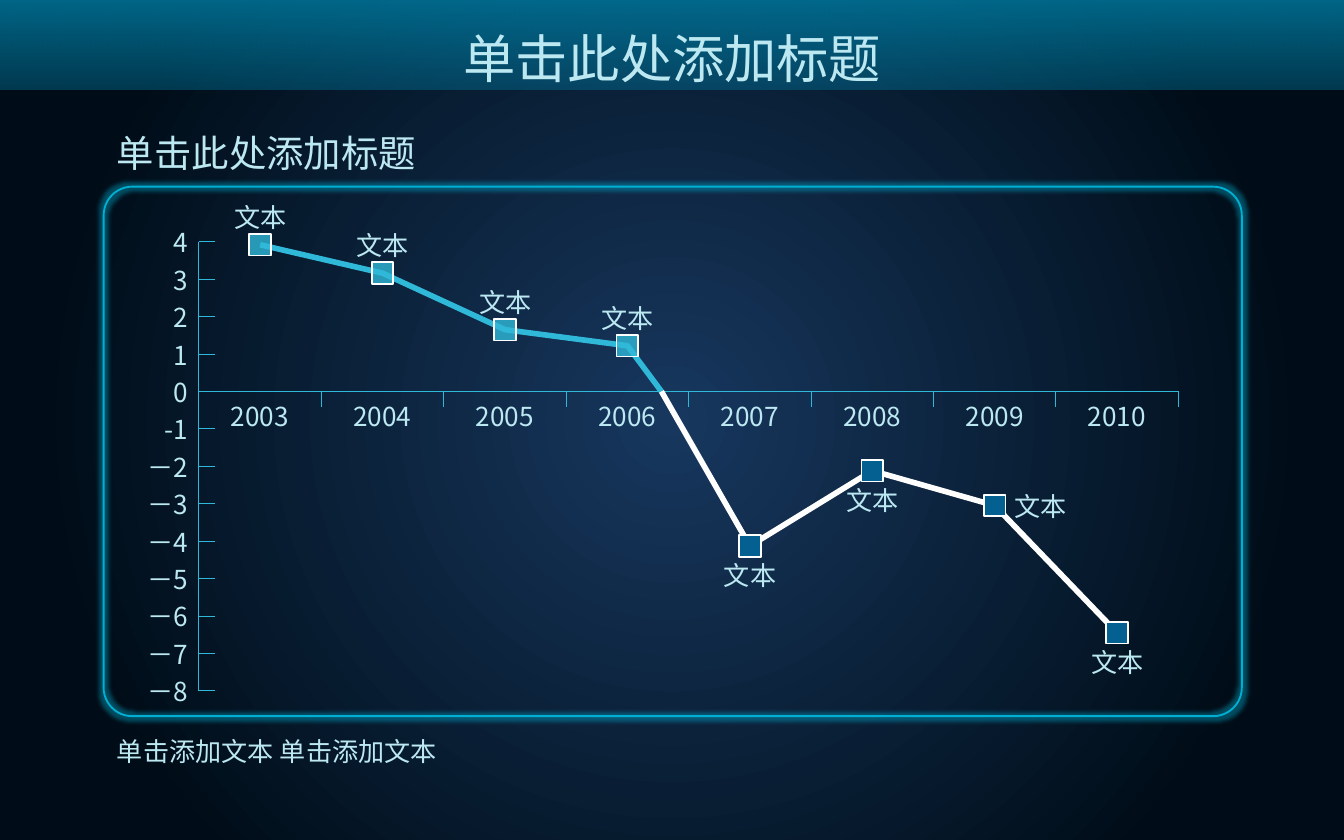
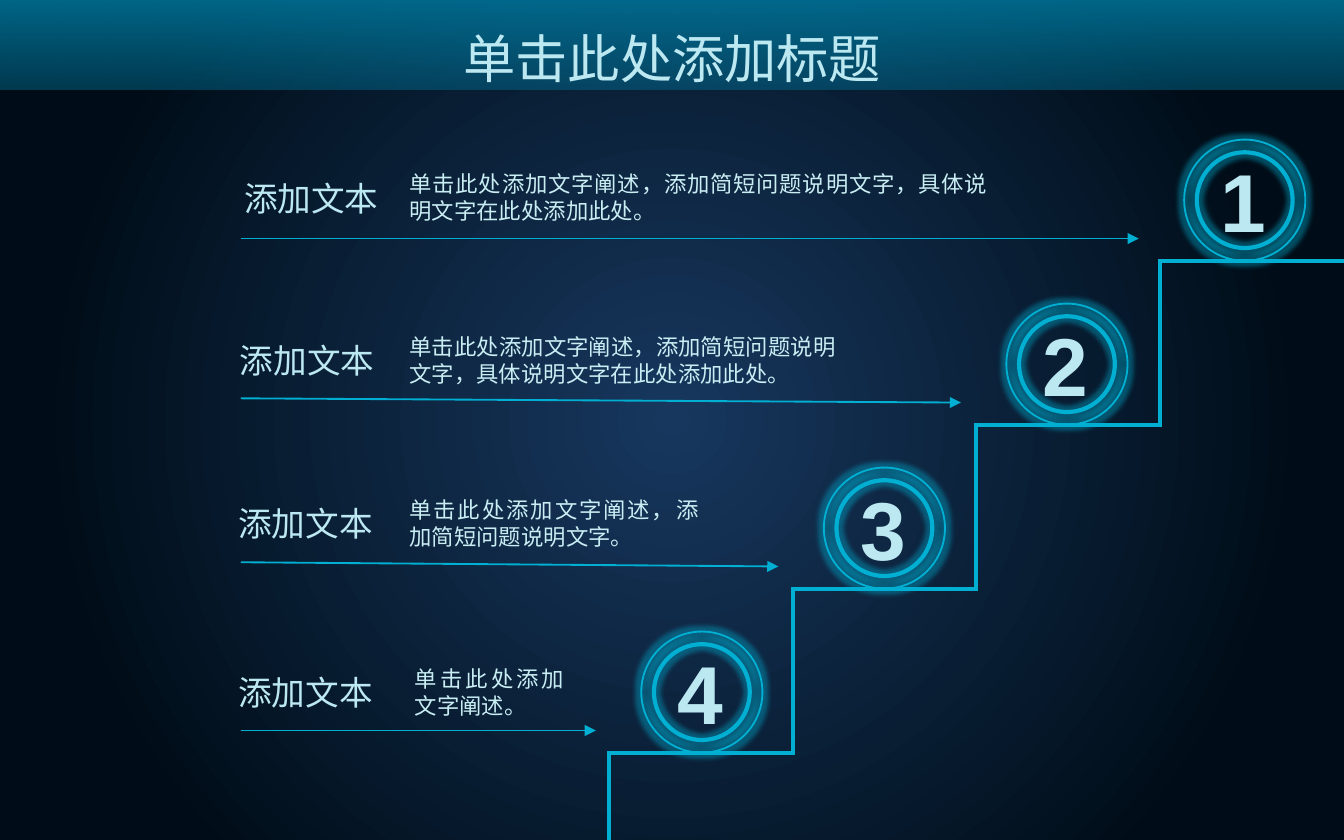
import pptx
import pptx.dml.color
import pptx.enum.shapes
import pptx.enum.text
import pptx.oxml
import pptx.oxml.ns
import pptx.util
from lxml import etree

Cm = pptx.util.Cm
Pt = pptx.util.Pt
qn = pptx.oxml.ns.qn
SHAPE = pptx.enum.shapes.MSO_SHAPE
ALIGN = pptx.enum.text.PP_ALIGN
FIT = pptx.enum.text.MSO_AUTO_SIZE

WIDTH, HEIGHT = 25.4, 15.88
CJK = "Noto Sans CJK SC"
COLORS = {
    "navy": "17375E", "night": "000D18", "band": "007DA4",
    "text": "BCE8F2", "detail": "C8EDF3", "title_edge": "4EC3DE",
    "neon": "00AFD2", "axis": "30B8D8", "loss": "046091", "white": "FFFFFF",
}


def rgb(name):
    return pptx.dml.color.RGBColor.from_string(COLORS[name])


def set_alpha(color_node, percent):
    etree.SubElement(color_node, qn("a:alpha"), val=str(percent * 1000))


def set_gradient(fill, holder, stops, angle=None):
    """Stops are (position, colour, alpha); without an angle it is circular."""
    fill.gradient()
    grad = holder.find(".//" + qn("a:gradFill"))
    for child in list(grad):
        grad.remove(child)
    grad.set("rotWithShape", "1")
    stop_list = etree.SubElement(grad, qn("a:gsLst"))
    for position, color, alpha in stops:
        stop = etree.SubElement(stop_list, qn("a:gs"), pos=str(position * 1000))
        node = etree.SubElement(stop, qn("a:srgbClr"), val=COLORS[color])
        if alpha < 100:
            set_alpha(node, alpha)
    if angle is None:
        circle = etree.SubElement(grad, qn("a:path"))
        circle.set("path", "circle")
        etree.SubElement(circle, qn("a:fillToRect"),
                         l="50000", t="50000", r="50000", b="50000")
    else:
        etree.SubElement(grad, qn("a:lin"), ang=str(angle * 60000), scaled="0")


def write(frame, text, size=14, color="text", font=CJK, bold=False,
          align=ALIGN.LEFT, wrap=True, spacing=None):
    frame.word_wrap = wrap
    frame.auto_size = FIT.SHAPE_TO_FIT_TEXT
    frame.vertical_anchor = pptx.enum.text.MSO_ANCHOR.TOP
    paragraph = frame.paragraphs[0]
    paragraph.alignment = align
    if spacing:
        paragraph.line_spacing = spacing
    run = paragraph.add_run()
    run.text = text
    run.font.size = Pt(size)
    run.font.bold = bold
    run.font.name = font
    run.font.fill.solid()
    run.font.fill.fore_color.rgb = rgb(color)
    etree.SubElement(run._r.get_or_add_rPr(), qn("a:ea"), typeface=font)
    return run


class Deck:
    def __init__(self):
        self.prs = pptx.Presentation()
        self.prs.slide_width, self.prs.slide_height = Cm(WIDTH), Cm(HEIGHT)
        self.slide = None
        master = self.prs.slide_master
        set_gradient(master.background.fill, master.element,
                     [(0, "navy", 100), (80, "night", 100)])

    def new_slide(self, title):
        first = self.slide is None
        self.slide = self.prs.slides.add_slide(self.prs.slide_layouts[5])
        if first:
            self.header_band()
        heading = self.slide.shapes.title
        heading.left, heading.top = Cm(7.32), Cm(0.13)
        heading.width, heading.height = Cm(10.77), Cm(1.7)
        run = write(heading.text_frame, title, size=28, align=ALIGN.CENTER,
                    spacing=1.2)
        set_gradient(run.font.fill, run._r,
                     [(0, "title_edge", 100), (40, "text", 100),
                      (60, "text", 100), (100, "title_edge", 100)], 0)

    def header_band(self):
        """Draw the band once and hand it to the slide master."""
        band = self.shape(SHAPE.ROUND_2_SAME_RECTANGLE, 0, 0, WIDTH, 1.7)
        band.adjustments[0] = band.adjustments[1] = 0
        band.element.spPr.find(qn("a:xfrm")).set("flipV", "1")
        set_gradient(band.fill, band.element,
                     [(0, "band", 39), (100, "band", 80)], 90)
        self.prs.slide_master.shapes.element.insert(2, band.element)

    def text(self, text, left, top, width, height, **style):
        box = self.slide.shapes.add_textbox(Cm(left), Cm(top), Cm(width), Cm(height))
        write(box.text_frame, text, **style)

    def outline(self, shape, color, weight):
        shape.line.color.rgb = rgb(color)
        shape.line.width = Pt(weight)

    def shape(self, kind, left, top, width, height, fill=None, alpha=100,
              line=None, weight=1, glow=False):
        shape = self.slide.shapes.add_shape(
            kind, Cm(left), Cm(top), Cm(width), Cm(height))
        shape.shadow.inherit = False
        if fill:
            shape.fill.solid()
            shape.fill.fore_color.rgb = rgb(fill)
            if alpha < 100:
                set_alpha(shape.element.spPr.find(
                    qn("a:solidFill") + "/" + qn("a:srgbClr")), alpha)
        else:
            shape.fill.background()
        if line:
            self.outline(shape, line, weight)
        else:
            shape.line.fill.background()
        if glow:
            effects = shape.element.spPr.find(qn("a:effectLst"))
            halo = etree.SubElement(effects, qn("a:glow"), rad=str(Pt(5)))
            set_alpha(etree.SubElement(halo, qn("a:srgbClr"),
                                       val=COLORS["neon"]), 40)
        return shape

    def line(self, x1, y1, x2, y2, color="neon", weight=1, arrow=False):
        link = self.slide.shapes.add_connector(
            pptx.enum.shapes.MSO_CONNECTOR.STRAIGHT, Cm(x1), Cm(y1), Cm(x2), Cm(y2))
        self.outline(link, color, weight)
        if arrow:
            etree.SubElement(link.line._get_or_add_ln(), qn("a:tailEnd"),
                             type="triangle")
        etree.SubElement(link.element.spPr, qn("a:effectLst"))

    def polyline(self, points, color, weight):
        points = [(Cm(x), Cm(y)) for x, y in points]
        builder = self.slide.shapes.build_freeform(*points[0])
        builder.add_line_segments(points[1:], close=False)
        curve = builder.convert_to_shape()
        curve.shadow.inherit = False
        curve.fill.background()
        self.outline(curve, color, weight)


def trend_slide(deck):
    deck.new_slide("单击此处添加标题")
    frame = deck.shape(SHAPE.ROUNDED_RECTANGLE, 1.96, 3.53, 21.51, 10.01,
                       line="neon", glow=True)
    frame.adjustments[0] = 0.054
    deck.text("单击此处添加标题", 1.96, 2.34, 9.02, 1.12, size=20)
    deck.text("单击添加文本 单击添加文本", 1.96, 13.77, 21.46, 0.86)

    # Scales: values 4 to -8 down, eight years across
    axis_left, axis_right, axis_top, axis_bottom = 3.76, 22.27, 4.57, 13.06
    tick = 0.3
    unit = (axis_bottom - axis_top) / 12
    year_step = (axis_right - axis_left) / 8
    zero = axis_top + 4 * unit

    # Value axis
    deck.line(axis_left, axis_bottom, axis_left, axis_top, "axis", 0.5)
    for value in range(4, -9, -1):
        y = zero - value * unit
        label = str(value) if value >= -1 else f"－{-value}"
        deck.line(axis_left, y, axis_left + tick, y, "axis", 0.5)
        deck.text(label, 2.31, y - 0.41, 1.5, 0.86, align=ALIGN.RIGHT)

    # Year axis
    deck.line(axis_left, zero, axis_right, zero, "axis", 0.5)
    for index in range(8):
        x = axis_left + index * year_step
        deck.line(x + year_step, zero, x + year_step, zero + tick, "axis", 0.5)
        deck.text(str(2003 + index), x + 0.05, zero + 0.04, 2.21, 0.86,
                  align=ALIGN.CENTER)

    # Curve, gains and losses meeting on the zero line
    values = [3.92, 3.16, 1.65, 1.22, -4.13, -2.12, -3.05, -6.45]
    points = [(axis_left + (index + 0.5) * year_step, zero - value * unit)
              for index, value in enumerate(values)]
    crossing = (12.5, zero)
    deck.polyline(points[:4] + [crossing], "axis", 3)
    deck.polyline([crossing] + points[4:], "white", 3)

    # Markers and their labels
    offsets = {"above": (-0.86, -0.95, ALIGN.CENTER),
               "below": (-0.86, 0.13, ALIGN.CENTER),
               "right": (0.13, -0.41, ALIGN.LEFT)}
    sides = ["above"] * 4 + ["below", "below", "right", "below"]
    marker = 0.41
    for (x, y), value, side in zip(points, values, sides):
        fill, alpha = ("axis", 80) if value > 0 else ("loss", 100)
        deck.shape(SHAPE.RECTANGLE, x - marker / 2, y - marker / 2, marker, marker,
                   fill=fill, alpha=alpha, line="white")
        dx, dy, align = offsets[side]
        deck.text("文本", x + dx, y + dy, 1.73, 0.86, align=align)


def stairs_slide(deck):
    deck.new_slide("单击此处添加标题")
    long_detail = "单击此处添加文字阐述，添加简短问题说明文字，具体说明文字在此处添加此处。"
    # ring left, label left, detail left, detail top, detail width, arrow slope, detail
    steps = [
        (22.38, 4.35, 7.49, 3.1, 11.43, 0, long_detail),
        (19.02, 4.27, 7.49, 6.17, 8.56, 0.08, long_detail),
        (15.57, 4.24, 7.49, 9.25, 5.97, 0.08, "单击此处添加文字阐述，添加简短问题说明文字。"),
        (12.12, 4.24, 7.59, 12.45, 3.33, 0, "单击此处添加文字阐述。"),
    ]
    rise, run, overlap, ring = 3.1, 3.47, 0.04, 2.29
    for index, (ring_left, label_left, detail_left, detail_top, detail_width,
                slope, detail) in enumerate(steps):
        # Stair
        tread = 4.93 + index * rise
        riser = 21.92 - index * run
        tread_end = min(riser + run + overlap, WIDTH)
        deck.line(riser - overlap, tread, tread_end, tread, weight=2.25)
        deck.line(riser, tread, riser, min(tread + rise, HEIGHT), weight=2.25)

        # Numbered rings
        ring_top = tread - ring
        for inset, weight in ((0, 1), (0.24, 2.25)):
            deck.shape(SHAPE.OVAL, ring_left + inset, ring_top + inset,
                       ring - 2 * inset, ring - 2 * inset,
                       line="neon", weight=weight, glow=True)
        deck.text(str(index + 1), ring_left + 0.44, ring_top + 0.08, 1.4, 2.13,
                  size=44, font="Arial", bold=True, wrap=False)

        # Arrow and wording
        arrow_y = tread - 0.42
        deck.line(4.55, arrow_y - slope, ring_left - 0.86, arrow_y, arrow=True)
        deck.text("添加文本", label_left, detail_top + 0.13, 3.07, 1.02,
                  size=18, align=ALIGN.CENTER)
        deck.text(detail, detail_left, detail_top, detail_width, 1.27,
                  size=12, color="detail", align=ALIGN.JUSTIFY)


def main():
    deck = Deck()
    trend_slide(deck)
    stairs_slide(deck)
    deck.prs.save("out.pptx")


if __name__ == "__main__":
    main()
